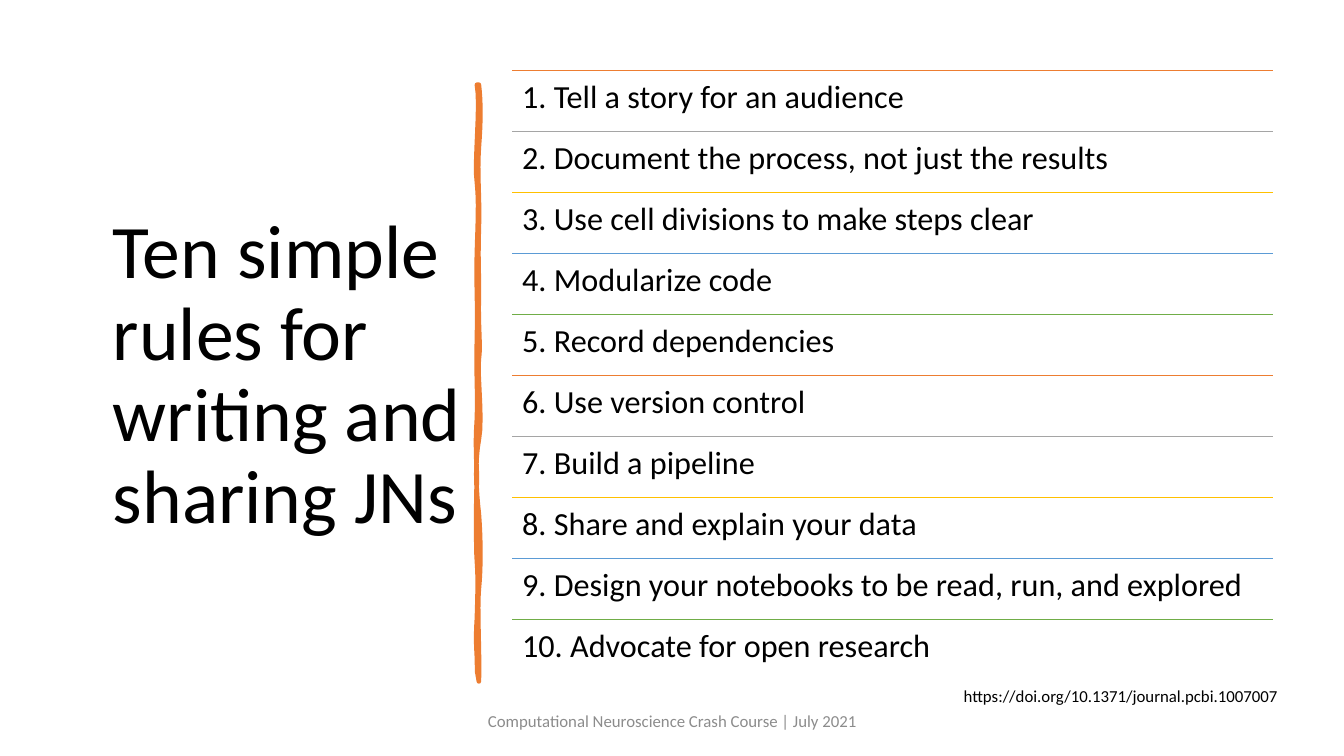
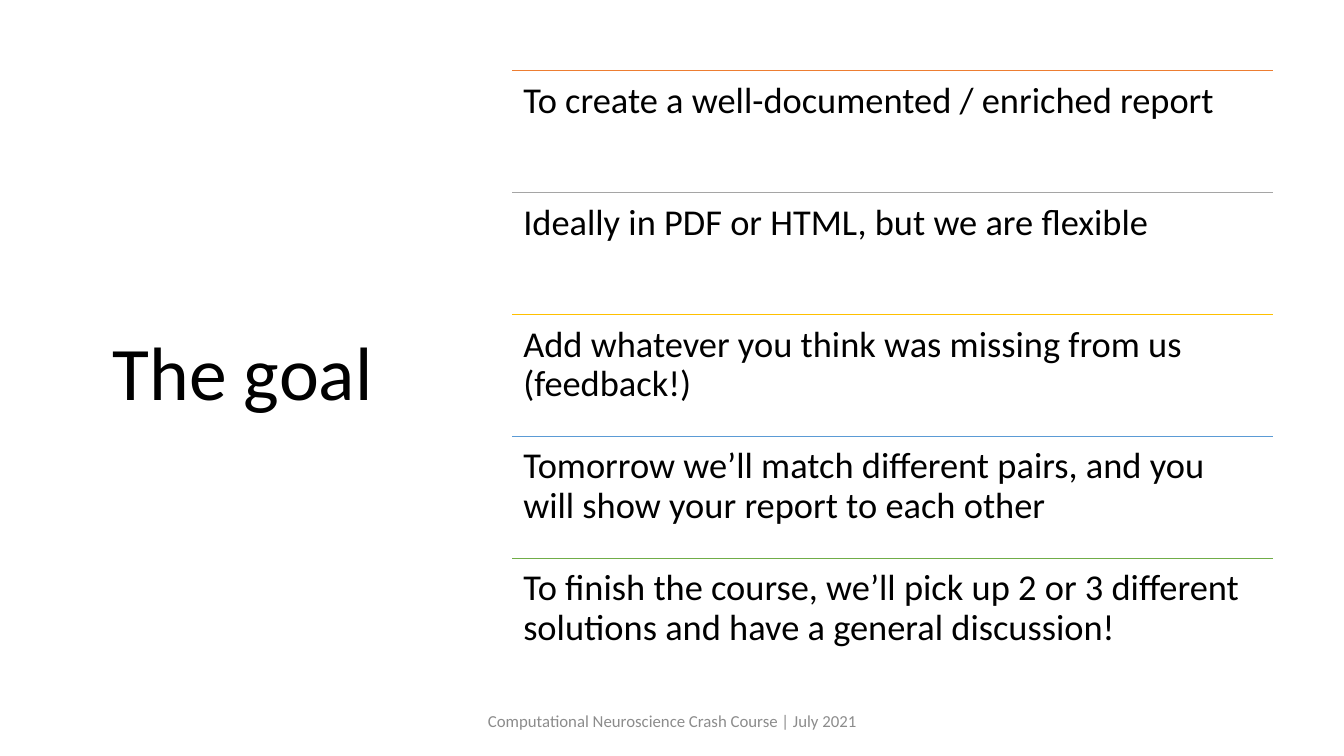
import dataclasses
import itertools

import lxml.etree
import pptx
import pptx.dml.color
import pptx.enum.shapes
import pptx.enum.text
import pptx.oxml.ns
import pptx.util

Inches = pptx.util.Inches
Pt = pptx.util.Pt
Align = pptx.enum.text.PP_ALIGN
Anchor = pptx.enum.text.MSO_ANCHOR


@dataclasses.dataclass(frozen=True)
class Theme:
    font: str = "Calibri"
    ink: str = "000000"
    muted: str = "8C8C8C"
    brush: str = "ED7D31"
    rules: tuple = ("ED7D31", "A5A5A5", "FFC000", "5B9BD5", "70AD47")
    title: int = 54
    note: int = 12
    rule: float = 1
    stroke: float = 3.25
    tight: float = 0.9


THEME = Theme()
SIZE = (13.33, 7.5)

# Boxes are left, top, width, height in inches.
TITLE = (1.02, 0.68, 3.74, 6.11)
LIST = (5.08, 0.7, 7.55, 6.05)
FOOT = (4.42, 6.95, 4.5, 0.4)
LINK = (9.46, 6.75, 3.6, 0.3)
BRUSH = (4.73, 0.84, 0.02, 5.92)

# Curves of the brush edges: two control points and an end, from the box corner.
RIGHT = [
    (0.04, 0.18, 0.04, 0.35, 0.02, 0.62), (0, 0.89, 0.03, 1.11, 0.02, 1.42),
    (0.01, 1.73, 0.02, 1.78, 0.02, 2.1), (0.01, 2.41, 0.04, 2.58, 0.02, 2.72),
    (0, 2.86, 0.06, 3.3, 0.02, 3.52), (-0.02, 3.73, -0.01, 4, 0.02, 4.26),
    (0.04, 4.52, 0.04, 4.8, 0.02, 5), (0, 5.19, 0.03, 5.66, 0.02, 5.92),
]
LEFT = [
    (0.01, 5.62, -0.02, 5.6, 0, 5.29), (0.01, 4.99, 0.01, 4.86, 0, 4.73),
    (-0.01, 4.6, -0.01, 4.11, 0, 3.93), (0, 3.75, -0.02, 3.61, 0, 3.31),
    (0.01, 3.02, -0.01, 2.89, 0, 2.51), (0.01, 2.14, -0.01, 1.97, 0, 1.66),
    (0.01, 1.34, 0.02, 1.16, 0, 0.97), (-0.03, 0.79, 0.04, 0.2, 0, 0),
]

FOOTER = "Computational Neuroscience Crash Course | July 2021"
SOURCE = "https://doi.org/10.1371/journal.pcbi.1007007"
RULES = [
    "Tell a story for an audience",
    "Document the process, not just the results",
    "Use cell divisions to make steps clear",
    "Modularize code",
    "Record dependencies",
    "Use version control",
    "Build a pipeline",
    "Share and explain your data",
    "Design your notebooks to be read, run, and explored",
    "Advocate for open research",
]
GOALS = [
    "To create a well-documented / enriched report",
    "Ideally in PDF or HTML, but we are flexible",
    "Add whatever you think was missing from us (feedback!)",
    "Tomorrow we’ll match different pairs, and you will show your report to each other",
    "To finish the course, we’ll pick up 2 or 3 different solutions and have a general discussion!",
]


def tint(code):
    return pptx.dml.color.RGBColor.from_string(code)


def write(shapes, box, text, size, color=THEME.ink, align=Align.LEFT,
          anchor=Anchor.TOP, pad=(0.1, 0.05), space=None):
    """Place text in a box; pad holds the side and the top inset."""
    frame = shapes.add_textbox(*map(Inches, box)).text_frame
    frame.word_wrap = True
    frame.vertical_anchor = anchor
    frame.margin_left = frame.margin_right = Inches(pad[0])
    frame.margin_top = frame.margin_bottom = Inches(pad[1])
    para = frame.paragraphs[0]
    para.alignment = align
    para.line_spacing = space
    run = para.add_run()
    run.text = text
    run.font.name = THEME.font
    run.font.size = Pt(size)
    run.font.color.rgb = tint(color)


def rule(shapes, left, top, width, color):
    line = shapes.add_connector(
        pptx.enum.shapes.MSO_CONNECTOR.STRAIGHT,
        Inches(left), Inches(top), Inches(left + width), Inches(top))
    line.line.color.rgb = tint(color)
    line.line.width = Pt(THEME.rule)
    props = line._element.spPr
    lxml.etree.SubElement(props, pptx.oxml.ns.qn("a:effectLst"))


def rows(slide, box, items, size, pad):
    """Stack items in equal rows, each under a coloured rule."""
    left, top, width, height = box
    pitch = height / len(items)
    shapes = slide.shapes.add_group_shape().shapes
    for index, (item, color) in enumerate(zip(items, itertools.cycle(THEME.rules))):
        y = top + index * pitch
        rule(shapes, left, y, width, color)
        write(shapes, (left, y, width, pitch), item, size,
              pad=(pad, pad), space=THEME.tight)


def trace(start, curves, steps=8):
    """Turn a chain of cubic curves into points."""
    points = []
    for x1, y1, x2, y2, x3, y3 in curves:
        for step in range(1, steps + 1):
            t = step / steps
            u = 1 - t
            points.append(tuple(
                u ** 3 * a + 3 * u * u * t * b + 3 * u * t * t * c + t ** 3 * d
                for a, b, c, d in zip(start, (x1, y1), (x2, y2), (x3, y3))))
        start = (x3, y3)
    return points


def brush(slide, box):
    left, top, width, height = box
    edge = trace((width, 0), RIGHT) + trace((0, height), LEFT)
    spots = [(Inches(left + x), Inches(top + y)) for x, y in edge]
    pen = slide.shapes.build_freeform(Inches(left + width), Inches(top))
    pen.add_line_segments(spots, close=True)
    shape = pen.convert_to_shape()
    shape.shadow.inherit = False
    shape.fill.solid()
    shape.fill.fore_color.rgb = tint(THEME.brush)
    shape.line.color.rgb = tint(THEME.brush)
    shape.line.width = Pt(THEME.stroke)


def page(deck, title, items, size, pad):
    """Add a slide with a title at left, ruled rows at right and the footer."""
    slide = deck.slides.add_slide(deck.slide_layouts[6])
    write(slide.shapes, TITLE, title, THEME.title,
          anchor=Anchor.MIDDLE, space=THEME.tight)
    rows(slide, LIST, items, size, pad)
    write(slide.shapes, FOOT, FOOTER, THEME.note, color=THEME.muted,
          align=Align.CENTER, anchor=Anchor.MIDDLE)
    return slide


def main():
    deck = pptx.Presentation()
    deck.slide_width, deck.slide_height = map(Inches, SIZE)
    items = [f"{number}. {text}" for number, text in enumerate(RULES, 1)]
    slide = page(deck, "Ten simple rules for writing and sharing JNs",
                 items, size=23, pad=0.1)
    brush(slide, BRUSH)
    write(slide.shapes, LINK, SOURCE, THEME.note)
    page(deck, "The goal", GOALS, size=26, pad=0.11)
    deck.save("out.pptx")


if __name__ == "__main__":
    main()
